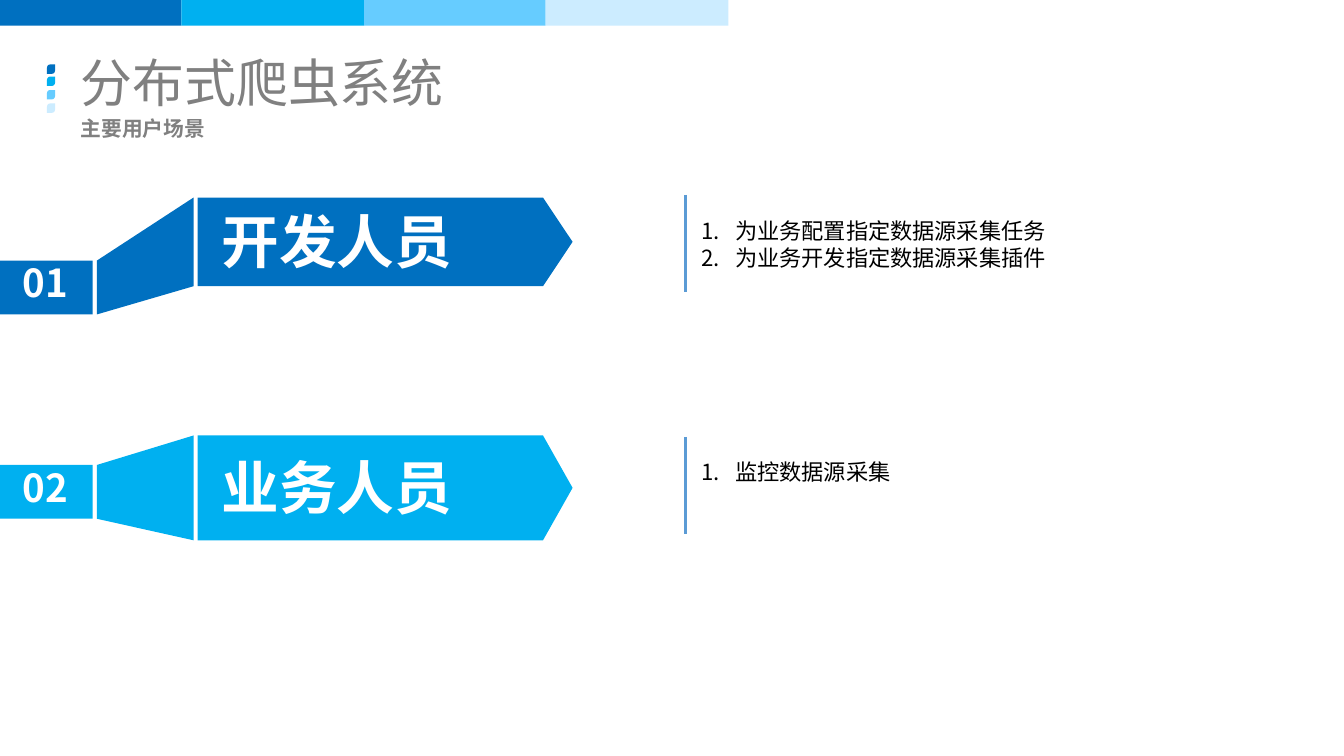
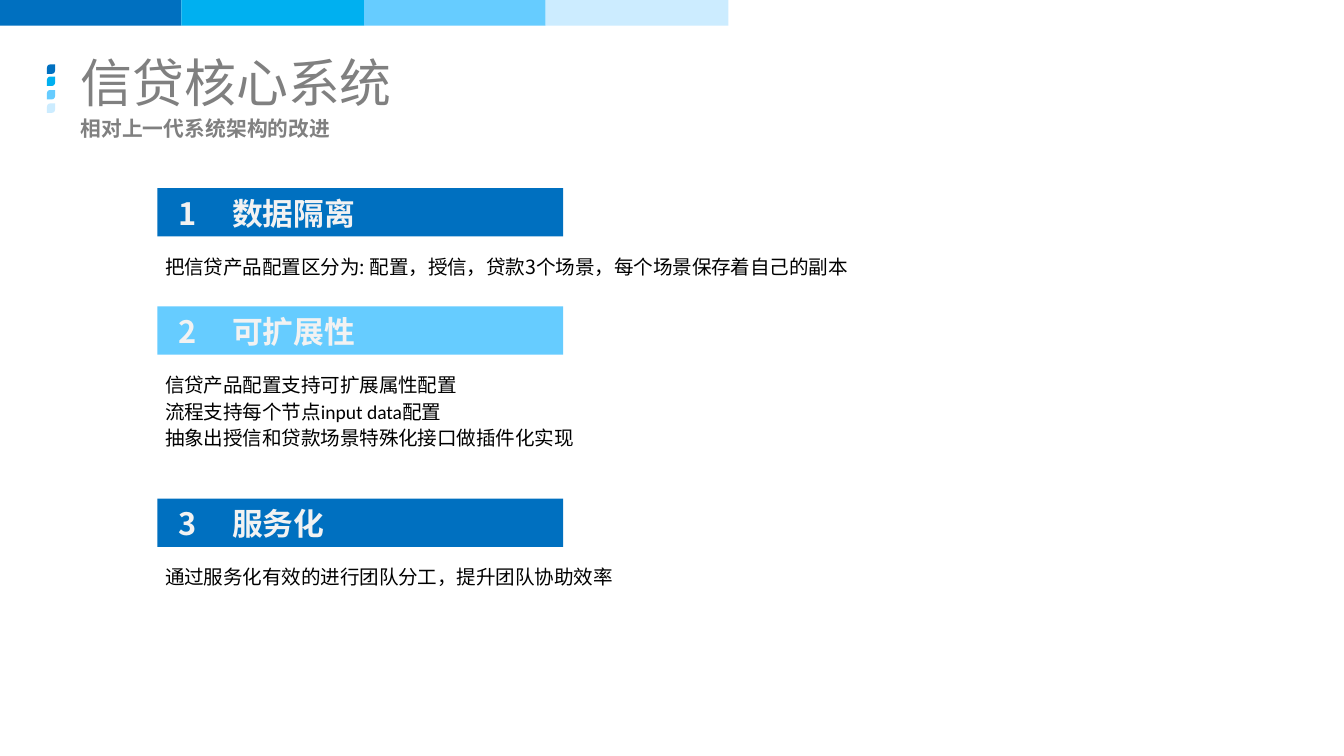
"""Build two slides on a crawler system's users and a credit system's improvements."""
from dataclasses import dataclass

from lxml import etree
from pptx import Presentation
from pptx import util as u
from pptx.dml.color import RGBColor
from pptx.enum import shapes, text
from pptx.oxml.ns import qn

SCALE = 9144
CJK = "Noto Sans CJK SC"
LATIN = "Calibri"
BLUE, CYAN, SKY, PALE = PALETTE = ("0070C0", "00B0F0", "66CCFF", "CCECFF")
GREY, BLACK, WHITE, OFF_WHITE, RULE = "808080", "000000", "FFFFFF", "F2F2F2", "5B9BD5"
BAND_WIDTH, BAND_HEIGHT = 542, 19
TAG_HEIGHT = 40


@dataclass(frozen=True)
class Style:
    """Look of the paragraphs in one text box."""
    size: float
    color: str
    bold: bool = False
    font: str = CJK
    align: text.PP_ALIGN = text.PP_ALIGN.LEFT
    line_spacing: float | None = None
    space_before: float | None = None
    hanging: int = 0
    numbered: bool = False
    tab: int = 0
    inset: tuple[int, int] = (10, 5)
    wrap: bool = True
    grow: bool = True
    anchor: text.MSO_ANCHOR = text.MSO_ANCHOR.TOP


@dataclass(frozen=True)
class Role:
    """One user role with its numbered tag, arrow and tasks."""
    number: str
    name: str
    color: str
    tag_top: int
    top: int
    bottom: int
    rule_top: int
    tasks_top: int
    tasks_height: int
    tasks: tuple[str, ...]


@dataclass(frozen=True)
class Improvement:
    """One headed improvement with its explanation."""
    heading: str
    color: str
    top: int
    heading_width: int
    body_width: int
    body_height: int
    lines: tuple[str, ...]
    font: str = LATIN


TITLE = Style(27.8, GREY, grow=False, anchor=text.MSO_ANCHOR.MIDDLE)
SUBTITLE = Style(11.1, GREY, bold=True, space_before=2, hanging=37, grow=False)
ROLE_NAME = Style(30.9, WHITE, bold=True, inset=(9, 4), wrap=False)
ROLE_NUMBER = Style(20.6, WHITE, bold=True, inset=(9, 4), wrap=False)
TASKS = Style(11.9, BLACK, align=text.PP_ALIGN.JUSTIFY, hanging=25, numbered=True, inset=(9, 4))
HEADING = Style(16.5, OFF_WHITE, bold=True, tab=40, wrap=False)

ROLES = (
    Role("01", "开发人员", BLUE, 194, 147, 213, 145, 158, 69,
         ("为业务配置指定数据源采集任务", "为业务开发指定数据源采集插件")),
    Role("02", "业务人员", CYAN, 346, 324, 402, 325, 337, 29, ("监控数据源采集",)),
)
IMPROVEMENTS = (
    Improvement("1\t数据隔离", BLUE, 140, 154, 676, 30,
                ("把信贷产品配置区分为: 配置，授信，贷款3个场景，每个场景保存着自己的副本",), CJK),
    Improvement("2\t可扩展性", SKY, 228, 154, 559, 71,
                ("信贷产品配置支持可扩展属性配置",
                 "流程支持每个节点input data配置",
                 "抽象出授信和贷款场景特殊化接口做插件化实现")),
    Improvement("3\t服务化", BLUE, 371, 131, 545, 29,
                ("通过服务化有效的进行团队分工，提升团队协助效率",)),
)


def px(length: int) -> u.Emu:
    """Turn px into EMU."""
    return u.Emu(length * SCALE)


def rgb(color: str) -> RGBColor:
    """Turn a hex string into a colour."""
    return RGBColor.from_string(color)


def paint(shape, color: str) -> None:
    """Give a shape a flat fill without line or shadow."""
    shape.fill.solid()
    shape.fill.fore_color.rgb = rgb(color)
    shape.line.fill.background()
    shape.shadow.inherit = False


def add_block(page, left: int, top: int, width: int, height: int, color: str,
              kind=shapes.MSO_SHAPE.RECTANGLE):
    """Draw a flat preset shape."""
    block = page.shapes.add_shape(kind, px(left), px(top), px(width), px(height))
    paint(block, color)
    return block


def add_outline(page, points: list[tuple[int, int]], color: str) -> None:
    """Draw a flat closed polygon."""
    builder = page.shapes.build_freeform(*points[0], scale=SCALE)
    builder.add_line_segments(points[1:], close=True)
    paint(builder.convert_to_shape(), color)


def add_rule(page, left: int, top: int, height: int) -> None:
    """Draw a vertical rule."""
    rule = page.shapes.add_connector(
        shapes.MSO_CONNECTOR.STRAIGHT, px(left), px(top), px(left), px(top + height))
    rule.line.color.rgb = rgb(RULE)
    rule.line.width = u.Pt(1.5)
    etree.SubElement(rule._element.spPr, qn("a:effectLst"))


def format_paragraph(para, style: Style) -> None:
    """Apply a style to one paragraph."""
    para.alignment = style.align
    if style.line_spacing:
        para.line_spacing = style.line_spacing
    if style.space_before:
        para.space_before = u.Pt(style.space_before)
    props = para._p.get_or_add_pPr()
    if style.hanging:
        props.set("marL", str(px(style.hanging)))
        props.set("indent", str(px(-style.hanging)))
    if style.numbered:
        etree.SubElement(props, qn("a:buFont"), typeface=style.font)
        etree.SubElement(props, qn("a:buAutoNum"), type="arabicPeriod")
    if style.tab:
        tabs = etree.SubElement(props, qn("a:tabLst"))
        etree.SubElement(tabs, qn("a:tab"), pos=str(px(style.tab)), algn="l")
    font = para.font
    font.size = u.Pt(style.size)
    font.bold = style.bold
    font.color.rgb = rgb(style.color)
    font.name = style.font
    etree.SubElement(props.find(qn("a:defRPr")), qn("a:ea"), typeface=CJK)


def add_text(page, left: int, top: int, width: int, height: int,
             lines: tuple[str, ...], style: Style) -> None:
    """Write one paragraph per line in a text box."""
    box = page.shapes.add_textbox(px(left), px(top), px(width), px(height))
    frame = box.text_frame
    frame.word_wrap = style.wrap
    frame.auto_size = (text.MSO_AUTO_SIZE.SHAPE_TO_FIT_TEXT if style.grow
                       else text.MSO_AUTO_SIZE.NONE)
    frame.vertical_anchor = style.anchor
    side, edge = style.inset
    frame.margin_left = frame.margin_right = px(side)
    frame.margin_top = frame.margin_bottom = px(edge)
    frame.text = "\n".join(lines)
    for para in frame.paragraphs:
        format_paragraph(para, style)


def add_page(deck, title: str, subtitle: str):
    """Add a slide with the shared bands, leaves and titles."""
    page = deck.slides.add_slide(deck.slide_layouts[6])
    page.background.fill.solid()
    page.background.fill.fore_color.rgb = rgb(WHITE)
    edges = [BAND_WIDTH * i // len(PALETTE) for i in range(len(PALETTE) + 1)]
    for left, right, color in zip(edges, edges[1:], PALETTE):
        add_block(page, left, 0, right - left, BAND_HEIGHT, color)
    for i, color in enumerate(PALETTE):
        leaf = add_block(page, 35, 48 + i * 29 // 3, 6, 7, color,
                         shapes.MSO_SHAPE.ROUND_2_DIAG_RECTANGLE)
        leaf.adjustments[0] = 0.4
    add_text(page, 50, 41, 900, 40, (title,), TITLE)
    add_text(page, 50, 81, 900, 33, (subtitle,), SUBTITLE)
    return page


def add_role(page, role: Role) -> None:
    """Draw a role's tag, funnel, arrow and task list."""
    top, bottom, middle = role.top, role.bottom, (role.top + role.bottom + 1) // 2
    tag_bottom = role.tag_top + TAG_HEIGHT
    add_outline(page, [(72, tag_bottom), (144, bottom), (144, top), (72, role.tag_top)],
                role.color)
    add_block(page, -3, role.tag_top, 72, TAG_HEIGHT, role.color)
    add_outline(page, [(147, top), (404, top), (426, middle), (404, bottom), (147, bottom)],
                role.color)
    add_text(page, 156, middle - 31, 192, 61, (role.name,), ROLE_NAME)
    add_text(page, 8, role.tag_top - 5, 53, 43, (role.number,), ROLE_NUMBER)
    add_text(page, 513, role.tasks_top, 317, role.tasks_height, role.tasks, TASKS)
    add_rule(page, 510, role.rule_top, 72)


def add_improvement(page, item: Improvement) -> None:
    """Draw an improvement's heading bar and explanation."""
    add_block(page, 117, item.top, 302, 36, item.color)
    add_text(page, 123, item.top, item.heading_width, 38, (item.heading,), HEADING)
    body = Style(10.5, BLACK, font=item.font, line_spacing=1.14)
    add_text(page, 113, item.top + 42, item.body_width, item.body_height, item.lines, body)


def main() -> None:
    """Build and save the deck."""
    deck = Presentation()
    deck.slide_width = px(1000)
    deck.slide_height = u.Emu(deck.slide_width * 9 // 16)
    page = add_page(deck, "分布式爬虫系统", "主要用户场景")
    for role in ROLES:
        add_role(page, role)
    page = add_page(deck, "信贷核心系统", "相对上一代系统架构的改进")
    for item in IMPROVEMENTS:
        add_improvement(page, item)
    deck.save("out.pptx")


if __name__ == "__main__":
    main()
